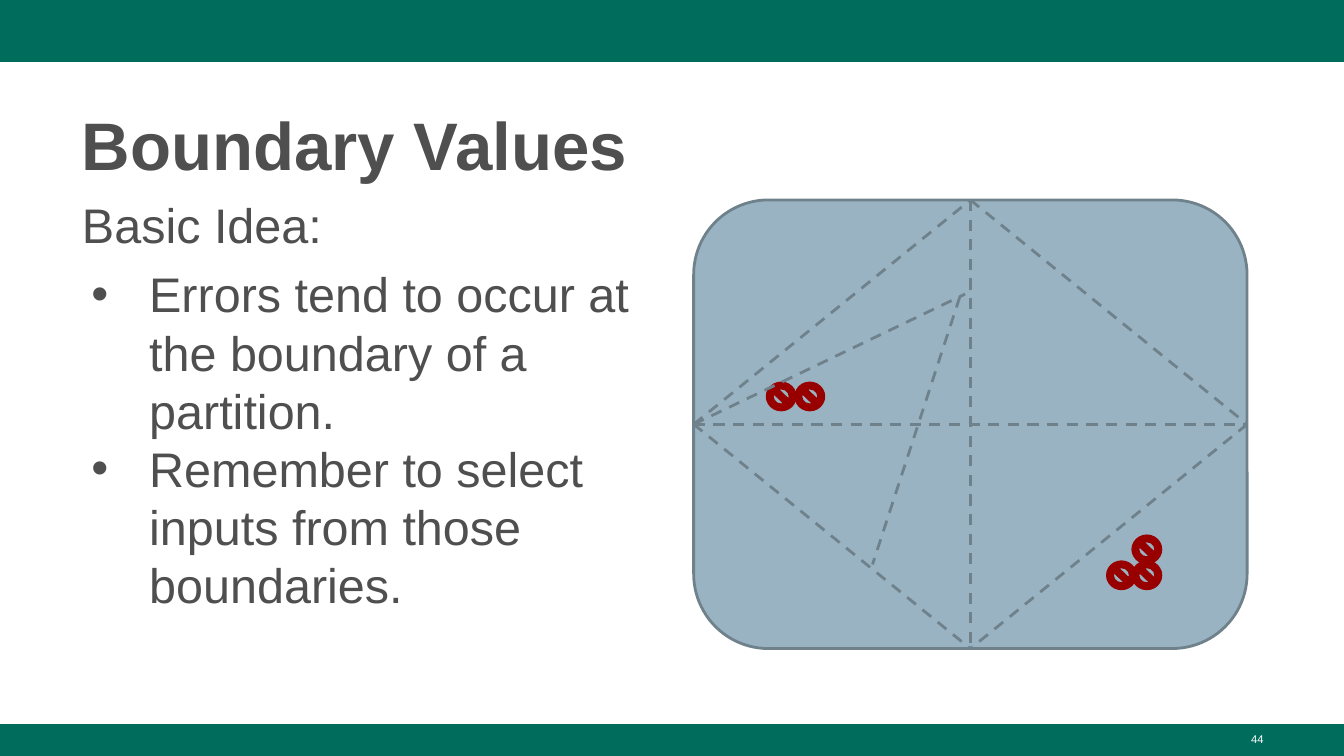
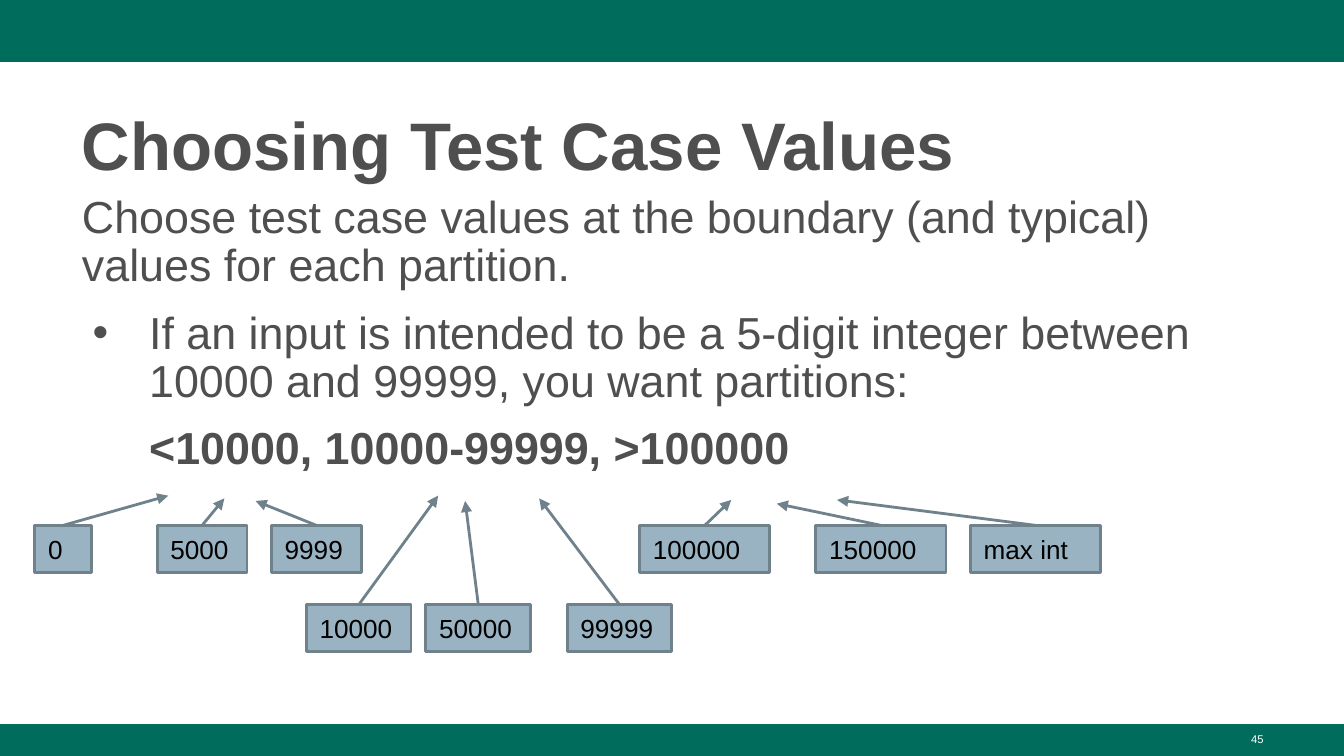
from lxml.etree import SubElement
from pptx import Presentation
from pptx.dml.color import RGBColor
from pptx.enum.dml import MSO_LINE_DASH_STYLE as Dash
from pptx.enum.shapes import MSO_CONNECTOR as Connector, MSO_SHAPE as Shape
from pptx.enum.text import MSO_ANCHOR as Anchor, PP_ALIGN as Align
from pptx.oxml.ns import qn
from pptx.util import Cm, Pt

GREEN = RGBColor(0x00, 0x6C, 0x5C)
GREY = RGBColor(0x4F, 0x4F, 0x4F)
STEEL = RGBColor(0x99, 0xB3, 0xC2)
SLATE = RGBColor(0x6F, 0x82, 0x8C)
RED = RGBColor(0x98, 0x00, 0x00)
BLACK = RGBColor(0x00, 0x00, 0x00)
WHITE = RGBColor(0xFF, 0xFF, 0xFF)

PAGE_WIDTH, PAGE_HEIGHT = 25.4, 14.29
BANDS = [(0, 1.17), (13.69, 0.6)]
TITLE_BOX = (1.3, 1.7, 22.83, 1.85)
NUMBER_BOX = (18.21, 13.72, 5.92, 0.58)

TITLE_FONT = {"name": "Arial", "size": Pt(36), "bold": True}
NUMBER_FONT = {"name": "Arial", "size": Pt(6)}
LABEL_FONT = {"name": "Arial", "size": Pt(14)}
IDEA_FONT = {"name": "Arial", "size": Pt(26)}
CHOICE_FONT = {"name": "Arial", "size": Pt(24)}

IDEA_LINES = [
    ("Basic Idea:", {}, None, {}),
    ("Errors tend to occur at the boundary of a partition.",
     {"space_before": Pt(6)}, (1.27, -1.09), {}),
    ("Remember to select inputs from those boundaries.",
     {"space_before": Pt(0)}, (1.27, -1.09), {}),
]
TIGHT = {"line_spacing": 0.9}
SPACED = {**TIGHT, "space_before": Pt(10)}
CHOICE_LINES = [
    ("Choose test case values at the boundary (and typical) values for each partition.",
     TIGHT, None, {}),
    ("If an input is intended to be a 5-digit integer between 10000 and 99999, "
     "you want partitions:", SPACED, (1.27, -1.07), {}),
    ("<10000, 10000-99999, >100000", SPACED, (0, 1.27), {"bold": True}),
]
ERROR_MARKS = [(1.93, 3.46), (1.39, 3.46), (8.3, 6.84), (8.3, 6.35), (7.82, 6.84)]
TEST_VALUES = [
    ("0", 0, 0, 1.07, (2.52, -0.56)),
    ("5000", 2.31, 0, 1.7, (3.58, -0.51)),
    ("9999", 4.47, 0, 1.7, (4.17, -0.46)),
    ("10000", 5.13, 1, 1.98, (7.62, -0.56)),
    ("50000", 7.39, 1, 1.98, (8.13, -0.46)),
    ("99999", 10.06, 1, 1.98, (9.53, -0.51)),
    ("100000", 11.43, 0, 2.46, (13.16, -0.48)),
    ("150000", 14.76, 0, 2.46, (14.02, -0.41)),
    ("max int", 17.68, 0, 2.46, (15.16, -0.48)),
]


def apply_format(target, values):
    for name, value in values.items():
        setattr(target, name, value)


def add_span(para, text, font, colour):
    span = para.add_run()
    span.text = text
    apply_format(span.font, font)
    span.font.color.rgb = colour


def indent(para, left, first, colour):
    props = para._p.get_or_add_pPr()
    props.set("marL", str(Cm(left)))
    props.set("indent", str(Cm(first)))
    if first < 0:
        bullet_colour = SubElement(props, qn("a:buClr"))
        SubElement(bullet_colour, qn("a:srgbClr")).set("val", str(colour))
        SubElement(props, qn("a:buFont")).set("typeface", "Arial")
        SubElement(props, qn("a:buChar")).set("char", "•")


def add_text(page, box, lines, font, colour):
    frame = page.shapes.add_textbox(*map(Cm, box)).text_frame
    frame.word_wrap = True
    for index, (text, layout, indents, extra) in enumerate(lines):
        para = frame.add_paragraph() if index else frame.paragraphs[0]
        apply_format(para, layout)
        if indents:
            indent(para, *indents, colour)
        add_span(para, text, {**font, **extra}, colour)


def add_block(page, kind, box, fill, outline=None):
    block = page.shapes.add_shape(kind, *map(Cm, box))
    block.shadow.inherit = False
    block.fill.solid()
    block.fill.fore_color.rgb = fill
    if outline is None:
        block.line.fill.background()
    else:
        block.line.color.rgb = outline
        block.line.width = Pt(1.5)
    return block


def add_line(page, start, end, dashed=False, arrow=False):
    link = page.shapes.add_connector(Connector.STRAIGHT, *map(Cm, (*start, *end)))
    link.line.color.rgb = SLATE
    link.line.width = Pt(1.5)
    if dashed:
        link.line.dash_style = Dash.DASH
    if arrow:
        SubElement(link.line._get_or_add_ln(), qn("a:tailEnd")).set("type", "triangle")
    SubElement(link._element.spPr, qn("a:effectLst"))


def add_page(deck, title, number):
    page = deck.slides.add_slide(deck.slide_layouts[6])
    for top, height in BANDS:
        add_block(page, Shape.RECTANGLE, (0, top, PAGE_WIDTH, height), GREEN)
    add_text(page, TITLE_BOX, [(title, {"line_spacing": 1.08}, None, {})], TITLE_FONT, GREY)
    add_text(page, NUMBER_BOX, [(str(number), {"alignment": Align.RIGHT}, None, {})],
             NUMBER_FONT, WHITE)
    return page


def add_partitions(page, box):
    left, top, width, height = box

    def at(x, y):
        return left + x, top + y

    add_block(page, Shape.ROUNDED_RECTANGLE, box, STEEL, SLATE)
    for x, y in ERROR_MARKS:
        add_block(page, Shape.NO_SYMBOL, (*at(x, y), 0.53, 0.51), RED, RED)
    north, south = at(width / 2, 0), at(width / 2, height)
    west, east = at(0, height / 2), at(width, height / 2)
    borders = [
        (north, south), (west, east), (west, north),
        (north, east), (east, south), (west, south),
        (west, at(5.13, 1.78)), (at(5.03, 1.83), at(3.38, 6.89)),
    ]
    for start, end in borders:
        add_line(page, start, end, dashed=True)


def add_test_values(page, left, top):
    for text, x, row, width, (tip_x, tip_y) in TEST_VALUES:
        label_left, label_top = left + x, top + row * 1.5
        label = add_block(page, Shape.RECTANGLE,
                          (label_left, label_top, width, 0.89), STEEL, SLATE)
        frame = label.text_frame
        sides = ("left", "top", "right", "bottom")
        apply_format(frame, {f"margin_{side}": Cm(0.25) for side in sides})
        apply_format(frame, {"word_wrap": True, "vertical_anchor": Anchor.MIDDLE})
        para = frame.paragraphs[0]
        para.alignment = Align.LEFT
        add_span(para, text, LABEL_FONT, BLACK)
        add_line(page, (label_left + width / 2, label_top),
                 (left + tip_x, top + tip_y), arrow=True)


def add_boundary_page(deck):
    page = add_page(deck, "Boundary Values", 44)
    add_text(page, (1.3, 3.56, 11.58, 9.68), IDEA_LINES, IDEA_FONT, GREY)
    add_partitions(page, (13.11, 3.78, 10.46, 8.48))


def add_choice_page(deck):
    page = add_page(deck, "Choosing Test Case Values", 45)
    add_text(page, (1.3, 3.56, 22.83, 9.68), CHOICE_LINES, CHOICE_FONT, GREY)
    add_test_values(page, 0.66, 9.93)


def main():
    deck = Presentation()
    deck.slide_width, deck.slide_height = Cm(PAGE_WIDTH), Cm(PAGE_HEIGHT)
    add_boundary_page(deck)
    add_choice_page(deck)
    deck.save("out.pptx")


if __name__ == "__main__":
    main()
